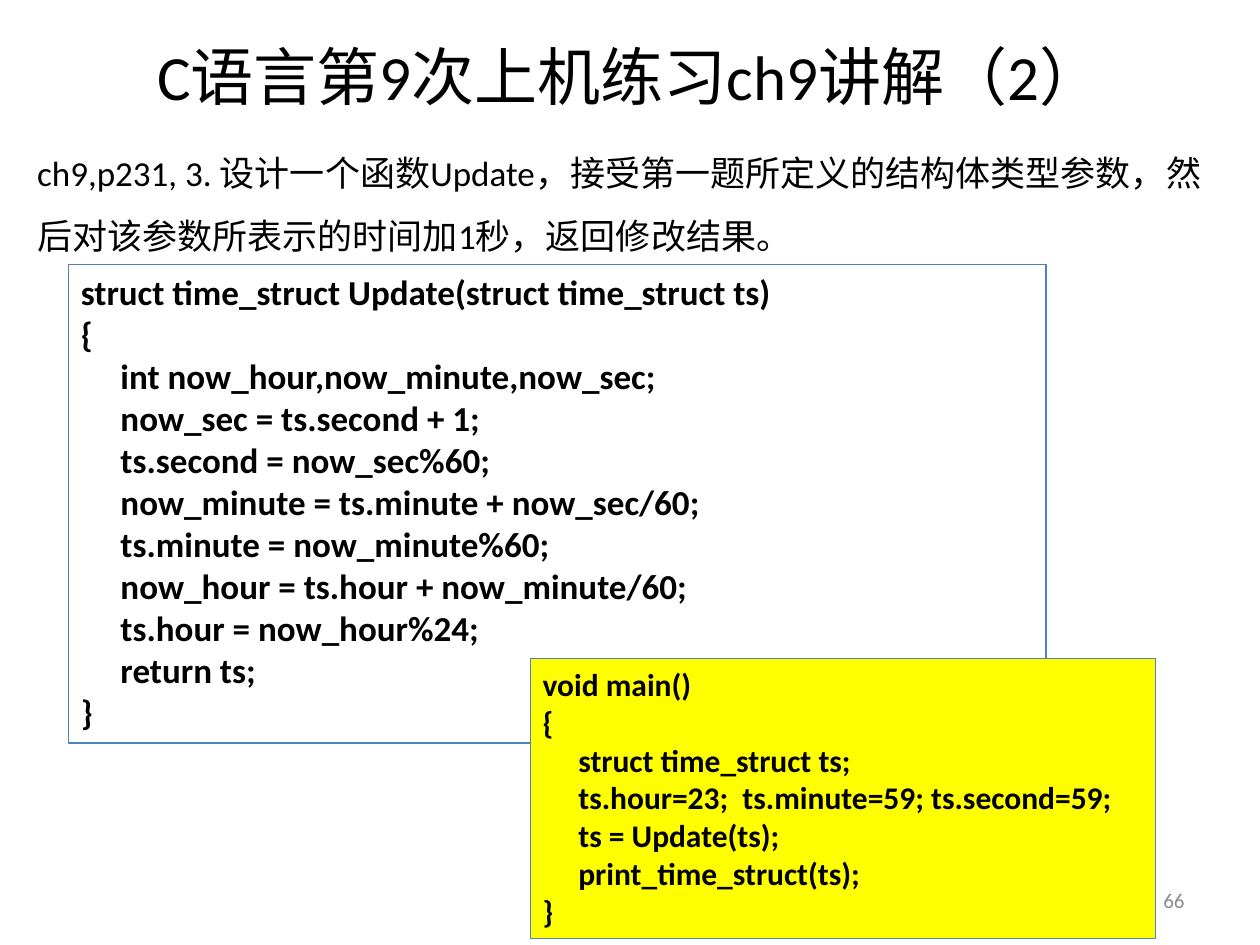
"""Build the slide explaining the Update exercise with two code boxes."""
from pptx import Presentation
from pptx.dml.color import RGBColor
from pptx.enum.shapes import MSO_SHAPE
from pptx.enum.text import MSO_ANCHOR, PP_ALIGN
from pptx.util import Cm, Pt

BLACK = RGBColor(0x00, 0x00, 0x00)
GRAY = RGBColor(0x8C, 0x8C, 0x8C)
BLUE = RGBColor(0x4F, 0x81, 0xBD)
YELLOW = RGBColor(0xFF, 0xFF, 0x00)
FONT = "Calibri"
INDENT_PER_POINT = 0.04

TITLE = "C语言第9次上机练习ch9讲解（2）"
TASK = ("ch9,p231, 3. 设计一个函数Update，接受第一题所定义的结构体类型参数，"
        "然后对该参数所表示的时间加1秒，返回修改结果。")
PAGE_NUMBER = "66"

UPDATE_CODE = (
    "struct time_struct Update(struct time_struct ts)",
    [
        "int now_hour,now_minute,now_sec;",
        "now_sec = ts.second + 1;",
        "ts.second = now_sec%60;",
        "now_minute = ts.minute + now_sec/60;",
        "ts.minute = now_minute%60;",
        "now_hour = ts.hour + now_minute/60;",
        "ts.hour = now_hour%24;",
        "return ts;",
    ],
)
MAIN_CODE = (
    "void main()",
    [
        "struct time_struct ts;",
        "ts.hour=23;  ts.minute=59; ts.second=59;",
        "ts = Update(ts);",
        "print_time_struct(ts);",
    ],
)


def style_span(span, size, color=BLACK, bold=False):
    span.font.name = FONT
    span.font.size = Pt(size)
    span.font.color.rgb = color
    span.font.bold = bold


def add_text(page, text, place, size, align, anchor, color=BLACK):
    box = page.shapes.add_textbox(*map(Cm, place))
    frame = box.text_frame
    frame.word_wrap = True
    frame.vertical_anchor = anchor
    frame.text = text
    para = frame.paragraphs[0]
    para.alignment = align
    style_span(para.runs[0], size, color)
    return para


def add_code(page, code, place, size, fill=None):
    box = page.shapes.add_shape(MSO_SHAPE.RECTANGLE, *map(Cm, place))
    box.shadow.inherit = False
    box.line.color.rgb = BLUE
    box.line.width = Pt(0.75)
    if fill is None:
        box.fill.background()
    else:
        box.fill.solid()
        box.fill.fore_color.rgb = fill
    header, body = code
    frame = box.text_frame
    frame.word_wrap = True
    frame.vertical_anchor = MSO_ANCHOR.TOP
    frame.text = "\n".join([header, "{", *body, "}"])
    for para in frame.paragraphs:
        para.alignment = PP_ALIGN.LEFT
        style_span(para.runs[0], size, bold=True)
    for para in frame.paragraphs[2:-1]:
        para._p.get_or_add_pPr().set("marL", str(Cm(INDENT_PER_POINT * size)))


def main():
    deck = Presentation()
    deck.slide_width, deck.slide_height = Cm(25.4), Cm(19.05)
    page = deck.slides.add_slide(deck.slide_layouts[6])
    add_text(page, TITLE, (1.27, -0.08, 22.86, 3.18), 36, PP_ALIGN.CENTER, MSO_ANCHOR.MIDDLE)
    task = add_text(page, TASK, (0.5, 2.51, 24, 15.6), 20, PP_ALIGN.LEFT, MSO_ANCHOR.TOP)
    task.line_spacing = 1.5
    task.space_before = Pt(4)
    add_text(page, PAGE_NUMBER, (18.2, 17.65, 5.93, 1.01), 12, PP_ALIGN.RIGHT,
             MSO_ANCHOR.MIDDLE, GRAY)
    add_code(page, UPDATE_CODE, (1.38, 5.33, 19.71, 9.65), 20)
    add_code(page, MAIN_CODE, (10.69, 13.28, 12.6, 5.64), 18, YELLOW)
    deck.save("out.pptx")


if __name__ == "__main__":
    main()
